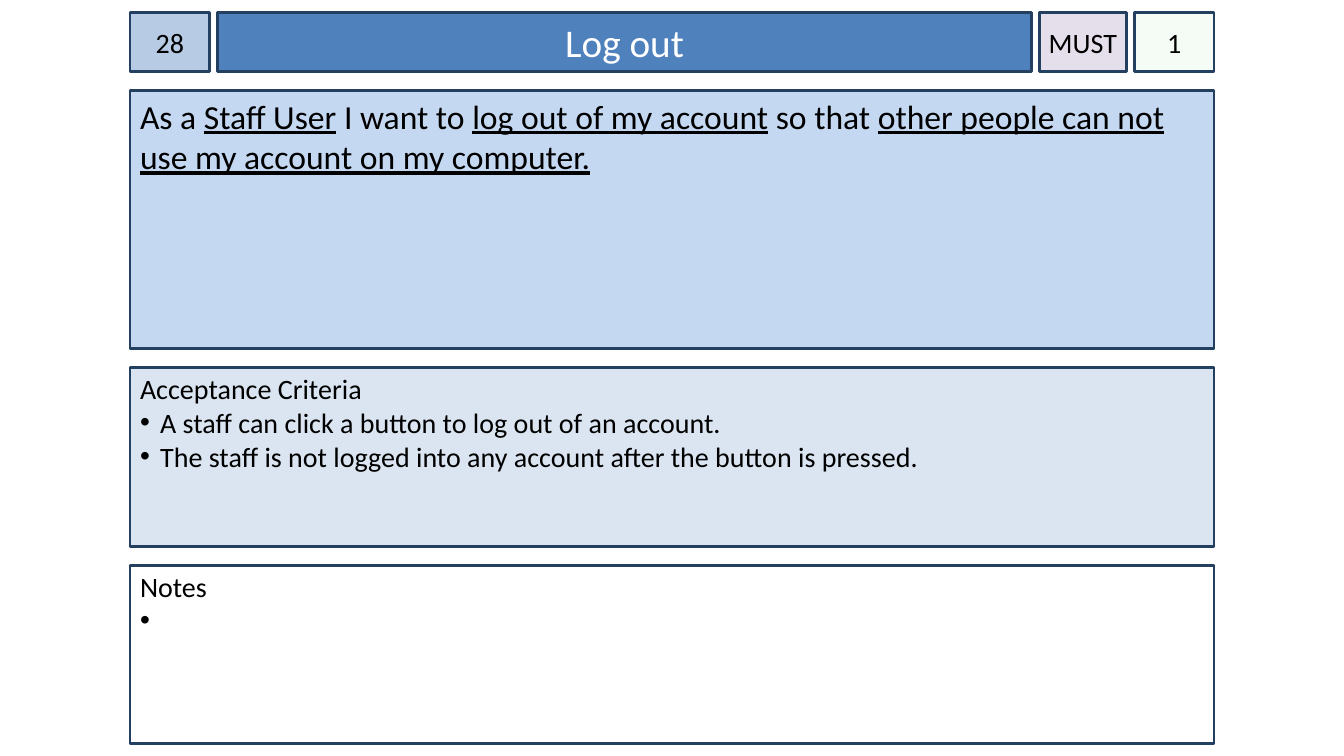
from lxml import etree
from pptx import Presentation
from pptx.dml import color
from pptx.enum import shapes, text
from pptx.oxml import ns
from pptx.util import Inches, Pt

COLORS = {
    "border": "244061",
    "number": "B7CCE4",
    "title": "4F81BD",
    "story": "C5D8F1",
    "criteria": "DAE5F1",
    "priority": "E5DFEC",
    "estimate": "CCF0CD",
    "white": "FFFFFF",
    "black": "000000",
}
LEFT, TOP, WIDTH = 1.29, 0.12, 10.75
HEADER_HEIGHT, HEADER_GAP, PANEL_GAP = 0.59, 0.08, 0.19


def rgb(name):
    return color.RGBColor.from_string(COLORS[name])


def apply_format(target, values):
    for name, value in values.items():
        setattr(target, name, value)


def add_box(slide, left, top, width, height, fill, **frame_values):
    shape = slide.shapes.add_shape(
        shapes.MSO_SHAPE.RECTANGLE,
        Inches(left), Inches(top), Inches(width), Inches(height))
    shape.shadow.inherit = False
    shape.fill.solid()
    shape.fill.fore_color.rgb = rgb(fill)
    shape.line.color.rgb = rgb("border")
    shape.line.width = Pt(2)
    frame = {
        "word_wrap": True,
        "vertical_anchor": text.MSO_ANCHOR.TOP,
        "margin_left": Inches(0.1),
        "margin_right": Inches(0.1),
        "margin_top": Inches(0.05),
        "margin_bottom": Inches(0.05),
    }
    apply_format(shape.text_frame, {**frame, **frame_values})
    return shape


def add_run(paragraph, wording, size, font_color="black", underline=False):
    run = paragraph.add_run()
    run.text = wording
    apply_format(run.font, {"name": "Calibri", "size": Pt(size), "underline": underline})
    run.font.color.rgb = rgb(font_color)


def add_bullet(paragraph):
    properties = paragraph._p.get_or_add_pPr()
    properties.set("marL", str(Inches(0.2)))
    properties.set("indent", str(-Inches(0.2)))
    etree.SubElement(properties, ns.qn("a:buFont"), typeface="Arial")
    etree.SubElement(properties, ns.qn("a:buChar"), char="•")


def set_opacity(shape, percent):
    fill_color = shape._element.spPr.find(".//" + ns.qn("a:srgbClr"))
    etree.SubElement(fill_color, ns.qn("a:alpha"), val=str(percent * 1000))


def add_header_cell(slide, left, width, fill, wording, size=20, font_color="black", margin=0):
    shape = add_box(slide, left, TOP, width, HEADER_HEIGHT, fill,
                    vertical_anchor=text.MSO_ANCHOR.MIDDLE,
                    margin_left=Inches(margin), margin_right=Inches(margin))
    paragraph = shape.text_frame.paragraphs[0]
    paragraph.alignment = text.PP_ALIGN.CENTER
    add_run(paragraph, wording, size, font_color)
    return shape


def add_header(slide):
    cells = [
        (0.79, "number", "28", {}),
        (8.07, "title", "Log out", {"size": 28, "font_color": "white", "margin": 0.1}),
        (0.86, "priority", "MUST", {}),
        (0.79, "estimate", "1", {}),
    ]
    left = LEFT
    for width, fill, wording, options in cells:
        shape = add_header_cell(slide, left, width, fill, wording, **options)
        if fill == "estimate":
            set_opacity(shape, 20)
        left += width + HEADER_GAP


def add_story(slide, top, height, phrases):
    shape = add_box(slide, LEFT, top, WIDTH, height, "story")
    paragraph = shape.text_frame.paragraphs[0]
    paragraph.alignment = text.PP_ALIGN.LEFT
    for wording, underline in phrases:
        add_run(paragraph, wording, 24, underline=underline)


def add_list_panel(slide, top, height, fill, heading, items):
    shape = add_box(slide, LEFT, top, WIDTH, height, fill, margin_top=Inches(0.04))
    frame = shape.text_frame
    for index, wording in enumerate([heading, *items]):
        paragraph = frame.add_paragraph() if index else frame.paragraphs[0]
        paragraph.alignment = text.PP_ALIGN.LEFT
        if index:
            add_bullet(paragraph)
        add_run(paragraph, wording, 20)


def main():
    presentation = Presentation()
    apply_format(presentation, {"slide_width": Inches(13.33), "slide_height": Inches(7.5)})
    slide = presentation.slides.add_slide(presentation.slide_layouts[6])
    add_header(slide)

    story_height, list_height = 2.56, 1.77
    story_top = TOP + HEADER_HEIGHT + PANEL_GAP
    criteria_top = story_top + story_height + PANEL_GAP
    notes_top = criteria_top + list_height + PANEL_GAP
    add_story(slide, story_top, story_height, [
        ("As a ", False),
        ("Staff User", True),
        (" I want to ", False),
        ("log out of my account", True),
        (" so that ", False),
        ("other people can not use my account on my computer.", True),
    ])
    add_list_panel(slide, criteria_top, list_height, "criteria", "Acceptance Criteria", [
        "A staff can click a button to log out of an account.",
        "The staff is not logged into any account after the button is pressed.",
    ])
    add_list_panel(slide, notes_top, list_height, "white", "Notes", [" "])
    presentation.save("out.pptx")


main()
